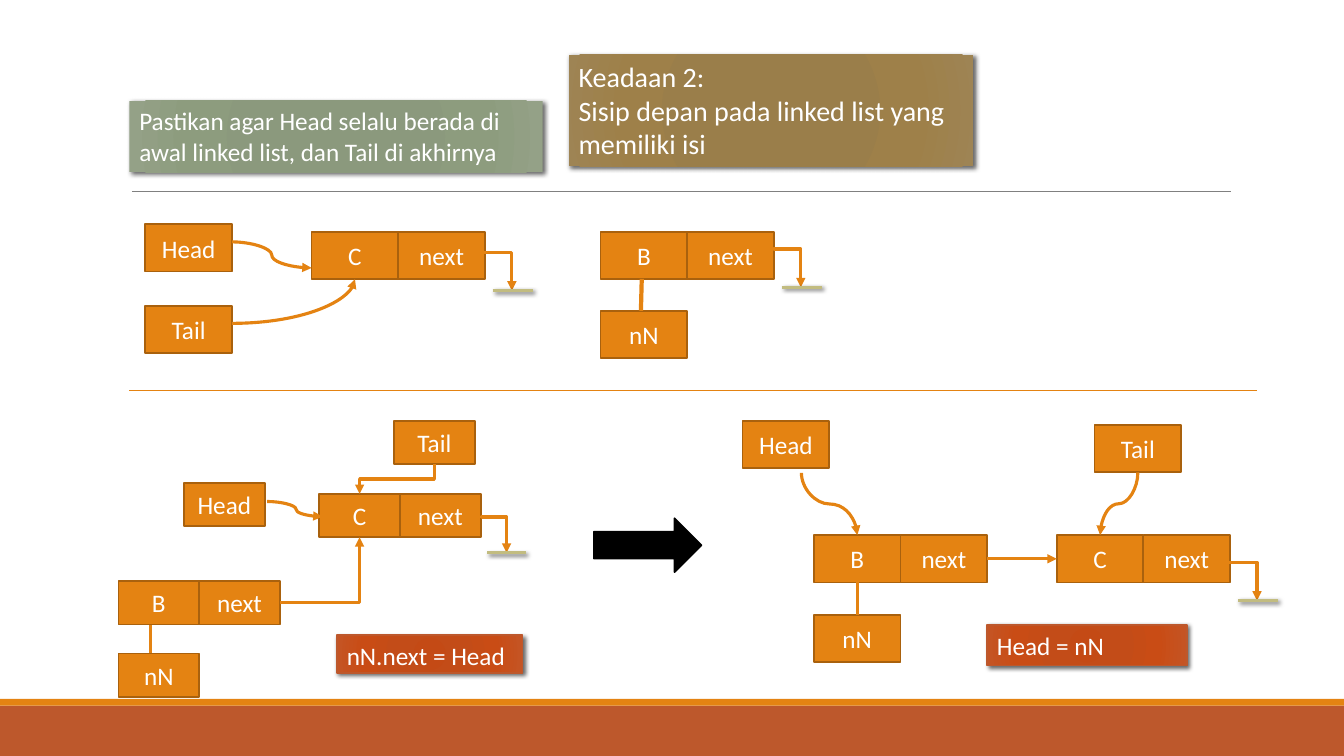
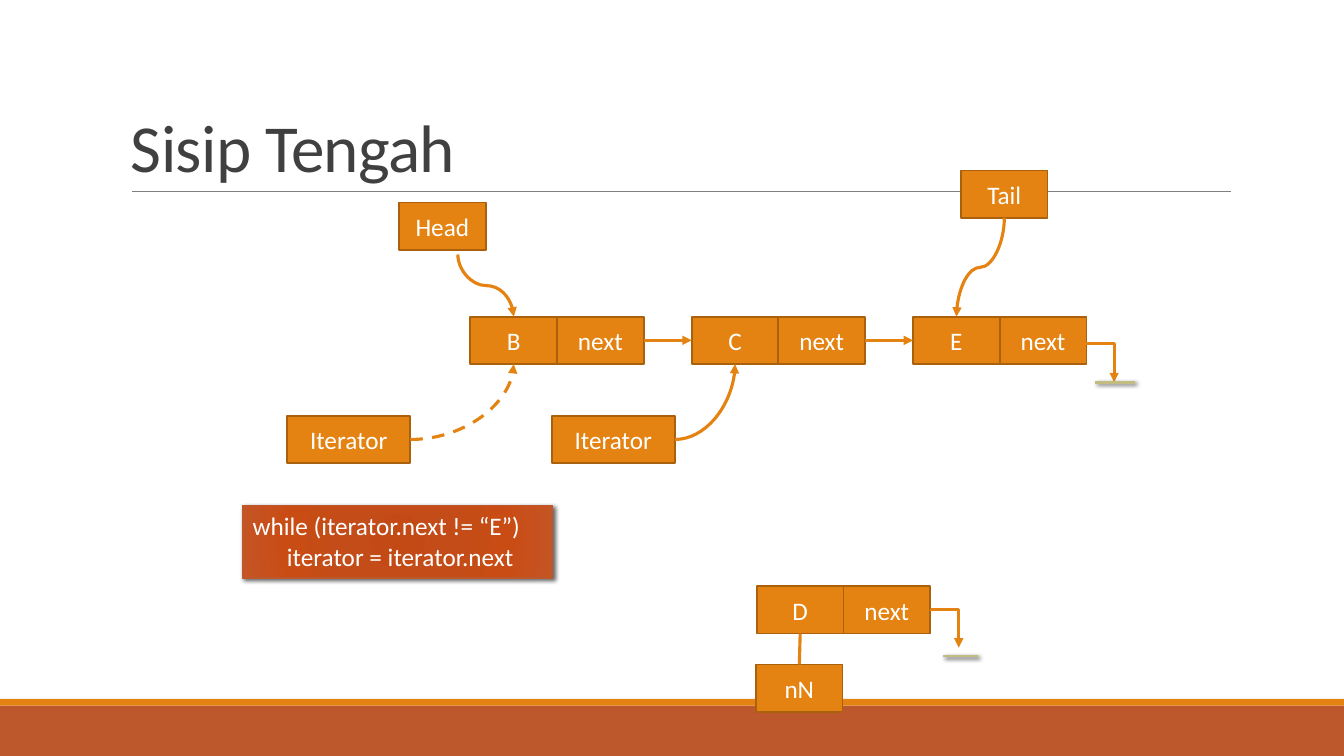
from dataclasses import dataclass

from lxml.etree import SubElement
from pptx import Presentation
from pptx.dml.color import RGBColor
from pptx.enum.dml import MSO_LINE
from pptx.enum.shapes import MSO_CONNECTOR as CXN, MSO_SHAPE as SHAPE
from pptx.enum.text import MSO_ANCHOR as ANCHOR, PP_ALIGN as ALIGN
from pptx.oxml.ns import qn
from pptx.util import Emu, Inches, Pt

COLS, ROWS = 160, 90
TOP, LEFT, BOTTOM, RIGHT = range(4)


@dataclass(frozen=True)
class Theme:
    font: str = "Calibri"
    accent: str = "E48312"
    edge: str = "A9610D"
    band: str = "BD582C"
    rule: str = "808080"
    null: str = "C2BC80"
    title: str = "404040"
    light: str = "FFFFFF"
    dark: str = "000000"
    gold: tuple = ("9A7D48", "9A7E4A", "9E8049", "9E8454")
    sage: tuple = ("8A987B", "8B997D", "8D9C7E", "94A187")
    rust: tuple = ("C44A15", "C34C18", "C94C15", "C45525")
    stops: tuple = (0, 34, 70, 100)
    title_size: int = 48
    lead_size: int = 20
    text_size: int = 18
    node: tuple = (10.32, 5.64)
    small: tuple = (9.62, 5.16)
    wide: tuple = (14.64, 5.64)


class Deck:
    def __init__(self, theme):
        self.t = theme
        self.prs = Presentation()
        self.prs.slide_width, self.prs.slide_height = Inches(13.33), Inches(7.5)
        self.s = None

    def x(self, col):
        return Emu(round(self.prs.slide_width * col / COLS))

    def y(self, row):
        return Emu(round(self.prs.slide_height * row / ROWS))

    def frame(self, x, y, w, h):
        return self.x(x), self.y(y), self.x(w), self.y(h)

    def new_slide(self):
        self.s = self.prs.slides.add_slide(self.prs.slide_layouts[6])
        self.box((0, 84, COLS, 6), self.t.band)
        self.box((0, 83.2, COLS, 0.8), self.t.accent)
        self.link((15.7, 22.8), (146.5, 22.8), color=self.t.rule, width=0.5)

    def add_text(self, tf, lines, size, color, align=ALIGN.LEFT, anchor=ANCHOR.TOP):
        tf.word_wrap = True
        tf.vertical_anchor = anchor
        for i, line in enumerate(lines):
            p = tf.add_paragraph() if i else tf.paragraphs[0]
            p.alignment = align
            r = p.add_run()
            r.text = line
            r.font.name, r.font.size = self.t.font, Pt(size)
            r.font.color.rgb = RGBColor.from_string(color)
        return tf

    def title(self, text):
        sp = self.s.shapes.add_textbox(*self.frame(14.4, 3.7, 132, 19.1))
        tf = self.add_text(sp.text_frame, [text], self.t.title_size, self.t.title,
                           anchor=ANCHOR.BOTTOM)
        p = tf.paragraphs[0]
        p.line_spacing = 0.85
        p.runs[0]._r.get_or_add_rPr().set("spc", "-50")

    def box(self, frame, fill, line=None, width=1.25, kind=SHAPE.RECTANGLE):
        sp = self.s.shapes.add_shape(kind, *self.frame(*frame))
        sp.shadow.inherit = False
        if isinstance(fill, tuple):
            self.glow(sp, fill)
        else:
            sp.fill.solid()
            sp.fill.fore_color.rgb = RGBColor.from_string(fill)
        if line:
            sp.line.color.rgb = RGBColor.from_string(line)
            sp.line.width = Pt(width)
        else:
            sp.line.fill.background()
        return sp

    def glow(self, sp, colors):
        sp.fill.gradient()
        grad = sp.element.spPr.find(qn("a:gradFill"))
        grad.clear()
        stops = SubElement(grad, qn("a:gsLst"))
        for pos, color in zip(self.t.stops, colors):
            gs = SubElement(stops, qn("a:gs"), pos=str(pos * 1000))
            SubElement(gs, qn("a:srgbClr"), val=color)
        way = SubElement(grad, qn("a:path"))
        way.set("path", "circle")
        SubElement(way, qn("a:fillToRect"), **dict.fromkeys("ltrb", "100000"))

    def cast_shadow(self, sp, blur):
        effects = sp.element.spPr.find(qn("a:effectLst"))
        shadow = SubElement(effects, qn("a:outerShdw"), blurRad=str(Pt(blur)),
                            dist=str(Pt(2)), dir="2700000", algn="tl", rotWithShape="0")
        color = SubElement(shadow, qn("a:srgbClr"), val=self.t.dark)
        SubElement(color, qn("a:alpha"), val="60000")

    def note(self, frame, lines, fill, size=None, line=None, blur=3):
        sp = self.box(frame, fill, line, 1)
        self.cast_shadow(sp, blur)
        return self.add_text(sp.text_frame, lines, size or self.t.text_size, self.t.light)

    def code(self, frame, *lines):
        return self.note(frame, lines, self.t.rust, line=self.t.band)

    def node(self, text, x, y, size=None):
        sp = self.box((x, y, *(size or self.t.node)), self.t.accent, self.t.edge)
        self.add_text(sp.text_frame, [text], self.t.text_size, self.t.light,
                      ALIGN.CENTER, ANCHOR.MIDDLE)
        return sp

    def record(self, text, x, y, size=None):
        size = size or self.t.node
        return self.node(text, x, y, size), self.node("next", x + size[0], y, size)

    def point(self, end):
        a, b = end
        if not hasattr(a, "left"):
            return self.x(a), self.y(b)
        fx, fy = ((0.5, 0), (0, 0.5), (0.5, 1), (1, 0.5))[b]
        return Emu(round(a.left + fx * a.width)), Emu(round(a.top + fy * a.height))

    def link(self, start, end, kind=CXN.STRAIGHT, color=None, width=2.25,
             arrow=False, dash=False, corner=False, down=False, adj=None):
        (x1, y1), (x2, y2) = self.point(start), self.point(end)
        c = self.s.shapes.add_connector(kind, x1, y1, x2, y2)
        for (sp, site), join in ((start, c.begin_connect), (end, c.end_connect)):
            if hasattr(sp, "left"):
                join(sp, site)
        spPr = c.element.spPr
        geom = spPr.find(qn("a:prstGeom"))
        if corner:
            geom.set("prst", geom.get("prst").replace("3", "2"))
        if adj is not None:
            SubElement(geom.find(qn("a:avLst")), qn("a:gd"), name="adj1",
                       fmla=f"val {round(adj * 100000)}")
        if down:
            self.turn(c, x1, y1, x2, y2)
        c.line.color.rgb = RGBColor.from_string(color or self.t.accent)
        c.line.width = Pt(width)
        if dash:
            c.line.dash_style = MSO_LINE.DASH
        if arrow:
            SubElement(spPr.find(qn("a:ln")), qn("a:tailEnd"), type="triangle")
        SubElement(spPr, qn("a:effectLst"))
        return c

    def turn(self, c, x1, y1, x2, y2):
        w, h = y2 - y1, abs(x2 - x1)
        c.left, c.top = Emu((x1 + x2 - w) // 2), Emu((y1 + y2 - h) // 2)
        c.width, c.height = Emu(w), Emu(h)
        xfrm = c.element.spPr.find(qn("a:xfrm"))
        for flip in ("flipH", "flipV"):
            xfrm.attrib.pop(flip, None)
        xfrm.set("rot", str((270 if x2 > x1 else 90) * 60000))
        if x2 > x1:
            xfrm.set("flipH", "1")

    def curve(self, start, end, **style):
        return self.link(start, end, CXN.CURVE, arrow=True, **style)

    def elbow(self, start, end, **style):
        return self.link(start, end, CXN.ELBOW, arrow=True, **style)

    def null(self, x, y, reach=3.24, drop=4.4, gap=0, span=(2.28, 2.52)):
        end_x, end_y = x + reach, y + drop
        self.elbow((x, y), (end_x, end_y), down=True, adj=-0.037)
        bar = self.link((end_x - span[0], end_y + gap), (end_x + span[1], end_y + gap),
                        color=self.t.null, width=2)
        self.cast_shadow(bar, 3)


def front_insert(d):
    t = d.t
    d.new_slide()
    d.note((67.7, 6.5, 48.2, 13.3),
           ["Keadaan 2:", "Sisip depan pada linked list yang memiliki isi"],
           t.gold, t.lead_size, blur=3.5)
    d.note((15.4, 12, 49.2, 8.5),
           ["Pastikan agar Head selalu berada di awal linked list, dan Tail di akhirnya"],
           t.sage, blur=3.5)

    d.node("Head", 17.3, 26.7)
    d.node("Tail", 17.3, 36.4)
    c, _ = d.record("C", 37.1, 27.6)
    d.curve((27.6, 28.8), (37.1, 31.9))
    d.curve((27.6, 38.5), (c, BOTTOM), corner=True)
    d.null(57.7, 30.2)
    d.record("B", 71.5, 27.6)
    d.node("nN", 71.5, 37)
    d.link((76.3, 37), (76.4, 33.2), width=3)
    d.null(92.1, 29.8)
    d.link((15.4, 46.5), (149.6, 46.5), width=1)

    _, b_next = d.record("B", 14.1, 69.2, t.small)
    d.node("nN", 14.1, 77.8, t.small)
    c, _ = d.record("C", 38, 58.8, t.small)
    d.null(57.3, 61.7, reach=3, drop=4.1, span=(2.28, 2.28))
    d.node("Head", 21.9, 57.5, t.small)
    d.curve((31.8, 59.7), (38.4, 61.5), adj=0.52)
    d.link((17.9, 77.8), (17.9, 74.4))
    d.elbow((b_next, RIGHT), (c, BOTTOM), corner=True)
    tail = d.node("Tail", 46.9, 50.1, t.small)
    d.elbow((tail, BOTTOM), (c, TOP), down=True, adj=0.5)
    d.code((40.1, 75.6, 22.1, 4.5), "nN.next = Head")

    d.box((70.7, 61.7, 12.8, 6.4), t.dark, t.dark, kind=SHAPE.RIGHT_ARROW)

    b, b_next = d.record("B", 96.9, 63.7)
    new = d.node("nN", 96.9, 73.2)
    c, _ = d.record("C", 125.8, 63.7)
    d.null(146.4, 67.1)
    d.node("Head", 88.4, 50.1)
    d.curve((95.4, 56.3), (b, TOP), down=True, adj=0.5)
    d.link((new, TOP), (b, BOTTOM))
    d.link((b_next, RIGHT), (c, LEFT), arrow=True)
    tail = d.node("Tail", 130.3, 50.6)
    d.curve((tail, BOTTOM), (c, TOP), down=True, adj=0.5)
    d.code((117.5, 74.4, 23.8, 4.8), "Head = nN")


def middle_insert(d):
    t = d.t
    d.new_slide()
    d.title("Sisip Tengah")

    row = 37.7
    (b, b_next), (c, c_next), (e, _) = [
        d.record(name, 56 + i * 26.35, row) for i, name in enumerate("BCE")]
    d.link((b_next, RIGHT), (c, LEFT), arrow=True)
    d.link((c_next, RIGHT), (e, LEFT), arrow=True)
    d.null(129.4, 41.1)
    d.node("Head", 47.5, 24.1)
    d.curve((54.5, 30.3), (b, TOP), down=True, adj=0.5)
    tail = d.node("Tail", 114.4, 20.3)
    d.curve((tail, BOTTOM), (e, TOP), down=True, adj=0.5)

    for x, target, dash in ((34.2, b, True), (65.7, c, False)):
        iterator = d.node("Iterator", x, 49.5, t.wide)
        d.curve((iterator, RIGHT), (target, BOTTOM), corner=True, dash=dash)

    tf = d.code((28.9, 60.2, 36.9, 8.6),
                "while (iterator.next != “E”)", "iterator = iterator.next")
    tf.paragraphs[1]._p.get_or_add_pPr().set("marL", str(Inches(0.34)))

    data, _ = d.record("D", 90.1, 69.8)
    new = d.node("nN", 90, 79.1)
    d.link((new, TOP), (data, BOTTOM))
    d.null(110.9, 72.7, gap=1, span=(1.92, 2.28))


def main():
    d = Deck(Theme())
    front_insert(d)
    middle_insert(d)
    d.prs.save("out.pptx")


if __name__ == "__main__":
    main()
